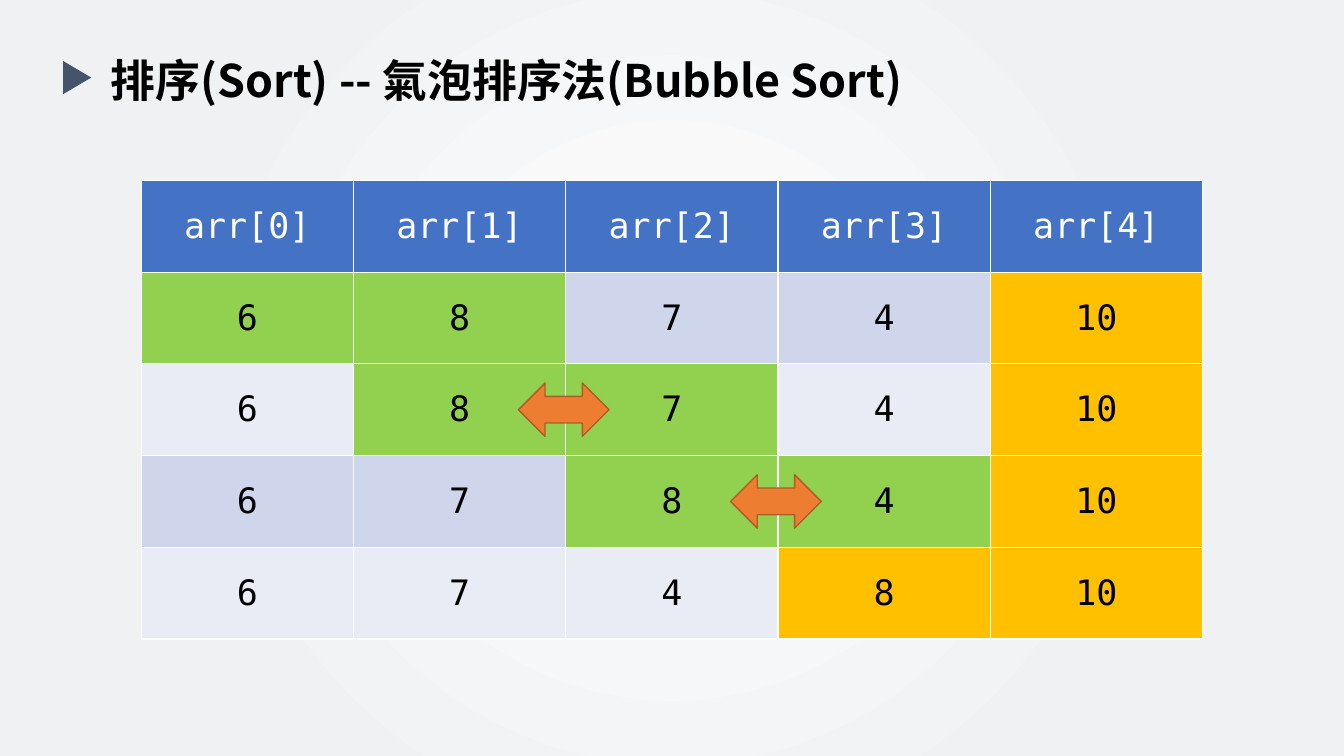
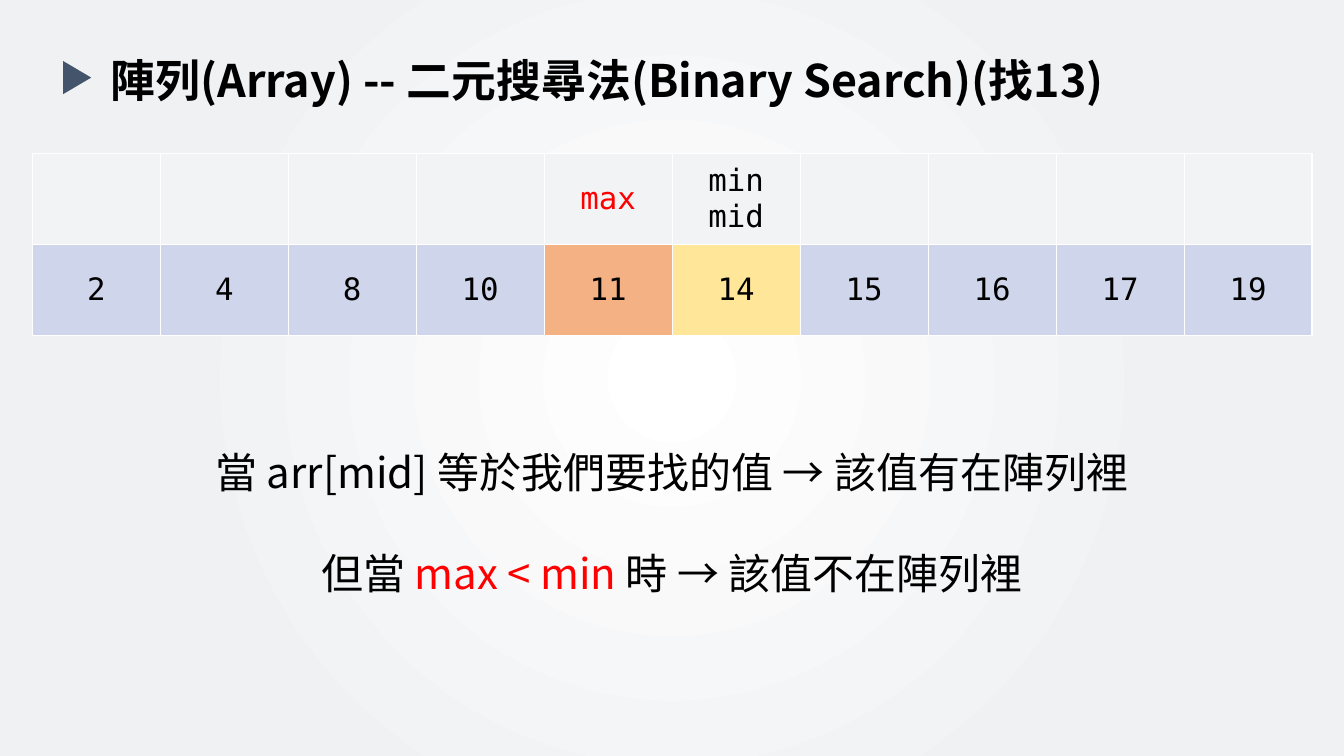
from collections import namedtuple

from lxml.etree import SubElement
from pptx import Presentation
from pptx.dml.color import RGBColor
from pptx.enum.shapes import MSO_SHAPE as Shape
from pptx.enum.text import MSO_ANCHOR as Anchor, MSO_AUTO_SIZE as AutoSize, PP_ALIGN as Align
from pptx.oxml.ns import qn
from pptx.util import Pt

BLACK = RGBColor(0x00, 0x00, 0x00)
WHITE = RGBColor(0xFF, 0xFF, 0xFF)
RED = RGBColor(0xFF, 0x00, 0x00)
MIST = RGBColor(0xF0, 0xF1, 0xF3)
SLATE = RGBColor(0x44, 0x54, 0x6A)
BLUE = RGBColor(0x44, 0x72, 0xC4)
BAND_DARK = RGBColor(0xCF, 0xD5, 0xEA)
BAND_LIGHT = RGBColor(0xE9, 0xEB, 0xF5)
PALE = RGBColor(0xF2, 0xF3, 0xF4)
GREEN = RGBColor(0x92, 0xD0, 0x50)
GOLD = RGBColor(0xFF, 0xC0, 0x00)
ORANGE = RGBColor(0xED, 0x7D, 0x31)
RUST = RGBColor(0xAF, 0x5C, 0x24)
PEACH = RGBColor(0xF4, 0xB1, 0x83)
LEMON = RGBColor(0xFF, 0xE6, 0x99)

SANS = "Noto Sans CJK SC"
MONO = "DejaVu Sans Mono"

Box = namedtuple("Box", "left top width height")
Entry = namedtuple("Entry", "text fill color", defaults=(BLACK,))
Pass = namedtuple("Pass", "values compared sorted_from")

HEADING_BOX = Box(43.2, 33.12, 908.64, 46.08)
SORT_BOX = Box(100.8, 128.88, 758.16, 327.6)
SEARCH_BOX = Box(23.04, 109.44, 914.4, 130.32)
NOTE_BOX = Box(136.08, 315.36, 687.6, 116.64)

PASSES = [
    Pass((6, 8, 7, 4, 10), (0, 1), 4),
    Pass((6, 8, 7, 4, 10), (1, 2), 4),
    Pass((6, 7, 8, 4, 10), (2, 3), 4),
    Pass((6, 7, 4, 8, 10), (), 3),
]
SWAPS = [(2, 2), (3, 3)]

SEARCHED = (2, 4, 8, 10, 11, 14, 15, 16, 17, 19)
POINTERS = {11: ("max", RED, PEACH), 14: ("min\nmid", BLACK, LEMON)}

NOTES = [
    [("當 arr[mid] 等於我們要找的值 → 該值有在陣列裡", BLACK)],
    [("但當 ", BLACK), ("max < min ", RED), ("時 → 該值不在陣列裡", BLACK)],
]


def in_points(box):
    """Return the edges of a box as lengths."""
    return [Pt(length) for length in box]


def add_span(para, text, size, font, color, bold=False):
    """Add one formatted run to a paragraph."""
    span = para.add_run()
    span.text = text
    span.font.size = Pt(size)
    span.font.bold = bold
    span.font.color.rgb = color
    span.font.name = font
    SubElement(span.font._element, qn("a:ea"), typeface=font)


def add_solid(page, kind, box, fill, line=None):
    """Add a flat preset shape."""
    shape = page.shapes.add_shape(kind, *in_points(box))
    shape.shadow.inherit = False
    shape.fill.solid()
    shape.fill.fore_color.rgb = fill
    if line is None:
        shape.line.fill.background()
    else:
        shape.line.color.rgb = line
        shape.line.width = Pt(1)
    return shape


def set_background(master):
    """Give every slide a glow that fades out from the centre."""
    fill = master.background.fill
    fill.gradient()
    first, last = fill.gradient_stops
    first.color.rgb, first.position = WHITE, 0
    last.color.rgb, last.position = MIST, 0.67
    gradient = master.element.find(".//" + qn("a:gradFill"))
    gradient.remove(gradient.find(qn("a:lin")))
    path = SubElement(gradient, qn("a:path"), path="circle")
    SubElement(path, qn("a:fillToRect"), l="50000", t="50000", r="50000", b="50000")


def add_page(deck, heading, box):
    """Add a slide with its marker and title."""
    page = deck.slides.add_slide(deck.slide_layouts.get_by_name("Title Only"))
    marker = Box(box.left, box.top + 12.24, 23.76, 20.16)
    add_solid(page, Shape.ISOSCELES_TRIANGLE, marker, SLATE).rotation = 90
    title = page.shapes.title
    indent = 28.8
    title.left, title.top, title.width, title.height = in_points(
        Box(box.left + indent, box.top, box.width - indent, box.height))
    frame = title.text_frame
    frame.word_wrap = True
    frame.auto_size = AutoSize.SHAPE_TO_FIT_TEXT
    frame.vertical_anchor = Anchor.TOP
    para = frame.paragraphs[0]
    para.alignment = Align.LEFT
    para.line_spacing = Pt(39)
    add_span(para, heading, 32, SANS, BLACK, bold=True)
    return page


def set_borders(cell):
    """Draw thin white lines around a cell."""
    properties = cell._tc.get_or_add_tcPr()
    for index, side in enumerate("LRTB"):
        line = SubElement(properties, qn("a:ln" + side), w=str(Pt(1)))
        solid = SubElement(line, qn("a:solidFill"))
        SubElement(solid, qn("a:srgbClr"), val=str(WHITE))
        properties.insert(index, line)


def add_grid(page, box, rows, size):
    """Add a table of equal cells that fills the box."""
    table = page.shapes.add_table(len(rows), len(rows[0]), *in_points(box)).table
    table.first_row = table.horz_banding = False
    for column in table.columns:
        column.width = Pt(box.width / len(rows[0]))
    for row in table.rows:
        row.height = Pt(box.height / len(rows))
    entries = [entry for row in rows for entry in row]
    for cell, entry in zip(table.iter_cells(), entries):
        cell.fill.solid()
        cell.fill.fore_color.rgb = entry.fill
        cell.vertical_anchor = Anchor.MIDDLE
        set_borders(cell)
        for index, text in enumerate(entry.text.splitlines()):
            frame = cell.text_frame
            para = frame.add_paragraph() if index else frame.paragraphs[0]
            para.alignment = Align.CENTER
            add_span(para, text, size, MONO, entry.color)


def sort_row(index, step):
    """Colour the values of one sorting pass."""
    band = BAND_LIGHT if index % 2 else BAND_DARK
    row = []
    for column, value in enumerate(step.values):
        fill = GREEN if column in step.compared else band
        row.append(Entry(str(value), GOLD if column >= step.sorted_from else fill))
    return row


def add_sort_table(page, box):
    """Add the sorting passes with an arrow on each swap."""
    header = [Entry(f"arr[{index}]", BLUE, WHITE) for index in range(5)]
    rows = [header] + [sort_row(index, step) for index, step in enumerate(PASSES)]
    add_grid(page, box, rows, 25)
    width, height, shift = 64.8, 38.16, 1.4
    for row, edge in SWAPS:
        center = box.left + box.width * edge / len(header) - shift
        middle = box.top + box.height * (row + 0.5) / len(rows)
        arrow = Box(center - width / 2, middle - height / 2, width, height)
        add_solid(page, Shape.LEFT_RIGHT_ARROW, arrow, ORANGE, RUST)


def add_search_table(page, box):
    """Add the searched values below their pointers."""
    pointers, values = [], []
    for value in SEARCHED:
        label, color, fill = POINTERS.get(value, ("", BLACK, BAND_DARK))
        pointers.append(Entry(label, PALE, color))
        values.append(Entry(str(value), fill))
    add_grid(page, box, [pointers, values], 22)


def add_notes(page, box):
    """Add the centred conclusions."""
    frame = page.shapes.add_textbox(*in_points(box)).text_frame
    frame.word_wrap = True
    frame.margin_left = frame.margin_right = Pt(16)
    for index, spans in enumerate(NOTES):
        para = frame.add_paragraph() if index else frame.paragraphs[0]
        para.alignment = Align.CENTER
        para.line_spacing = Pt(36)
        para.space_before = Pt(36 if index else 0)
        for text, color in spans:
            add_span(para, text, 30, SANS, color)


def build():
    """Build and save the deck."""
    deck = Presentation()
    deck.slide_width, deck.slide_height = Pt(960), Pt(540)
    set_background(deck.slide_master)
    page = add_page(deck, "排序(Sort) -- 氣泡排序法(Bubble Sort)", HEADING_BOX)
    add_sort_table(page, SORT_BOX)
    page = add_page(deck, "陣列(Array) -- 二元搜尋法(Binary Search)(找13)", HEADING_BOX)
    add_search_table(page, SEARCH_BOX)
    add_notes(page, NOTE_BOX)
    deck.save("out.pptx")


build()
